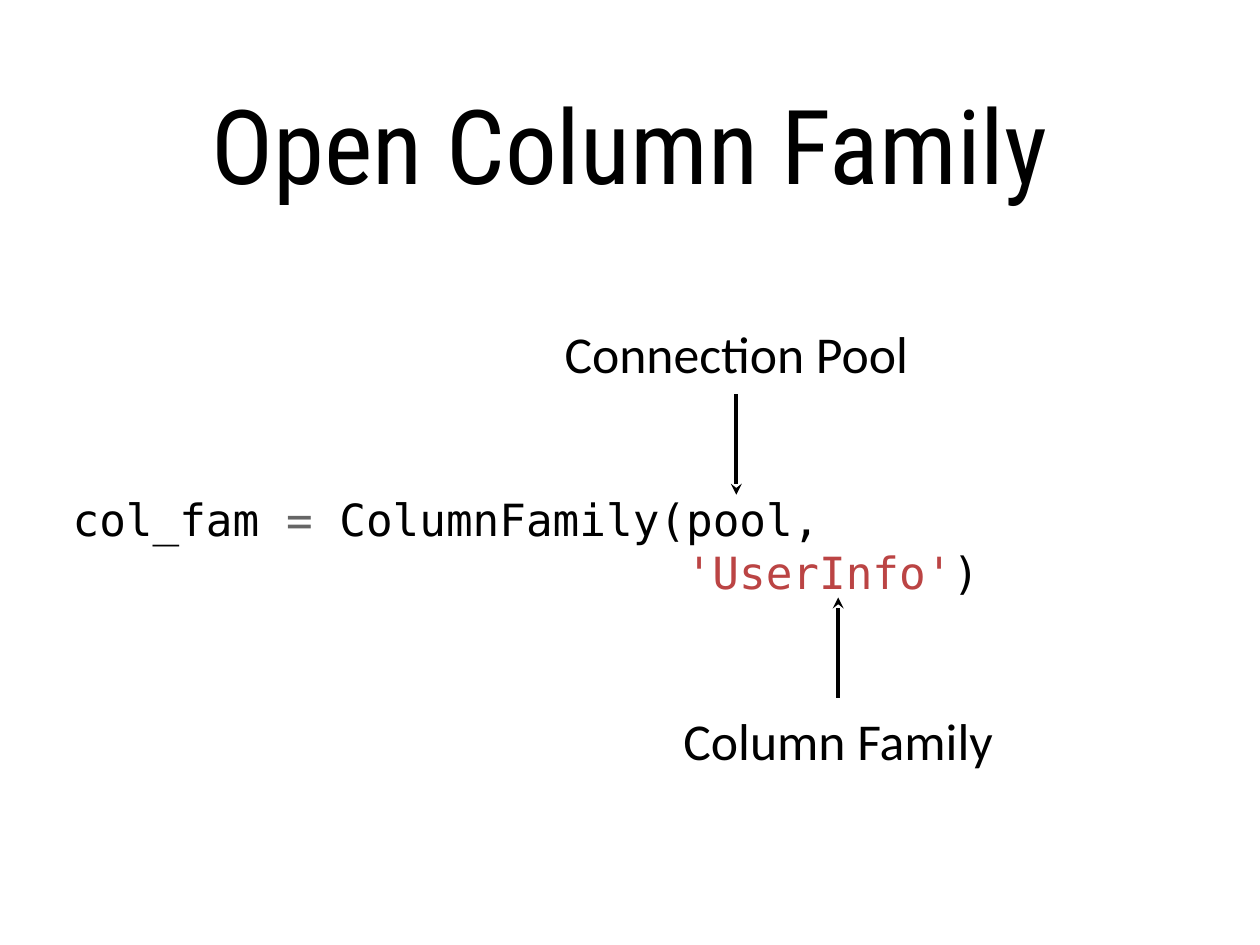
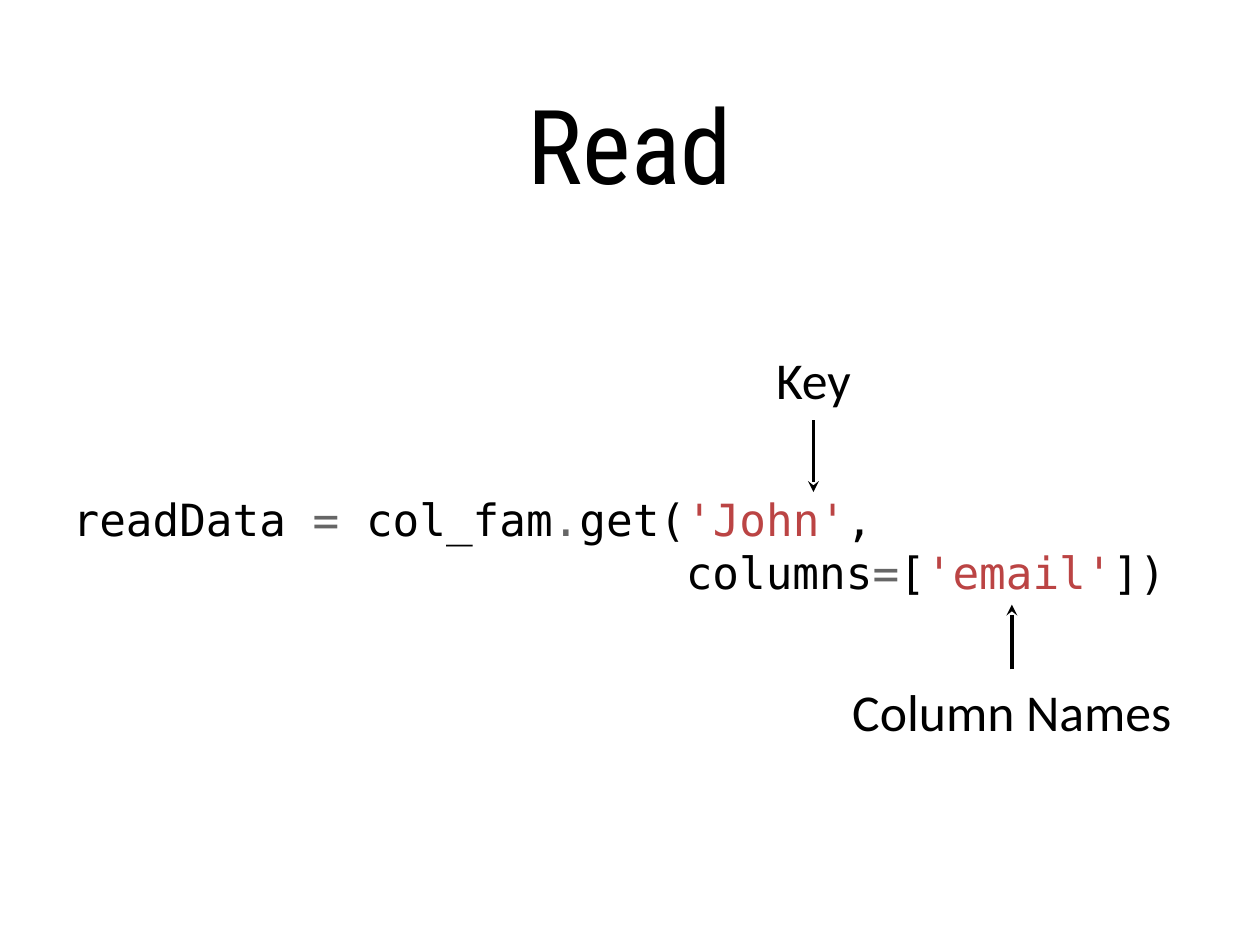
from lxml import etree
from pptx import Presentation
from pptx.dml.color import RGBColor
from pptx.enum.shapes import MSO_CONNECTOR
from pptx.enum.text import MSO_ANCHOR, MSO_AUTO_SIZE, PP_ALIGN
from pptx.oxml.ns import qn
from pptx.util import Inches, Pt

BLACK = RGBColor(0x00, 0x00, 0x00)
GRAY = RGBColor(0x66, 0x66, 0x66)
RED = RGBColor(0xBB, 0x44, 0x44)

TITLE_FONT = "Roboto Condensed"
CODE_FONT = "DejaVu Sans Mono"
LABEL_FONT = "Calibri"

LEFT, CENTER = PP_ALIGN.LEFT, PP_ALIGN.CENTER
MIDDLE = MSO_ANCHOR.MIDDLE
NO_AUTOFIT = MSO_AUTO_SIZE.NONE
STRAIGHT = MSO_CONNECTOR.STRAIGHT

TITLE_ONLY = 5
LABEL_HEIGHT = 0.7
LABEL_GAP = 0.12
CODE_INDENT = 6.92  # width of 23 monospaced characters at 36 pt


def set_text(sp, lines, *, size, font, align=LEFT, inset=0, wrap=True, indent=0):
    """Fill sp with lines of (text, colour) runs; later lines are indented."""
    tf = sp.text_frame
    tf.auto_size = NO_AUTOFIT
    tf.word_wrap = wrap
    tf.vertical_anchor = MIDDLE
    tf.margin_left = tf.margin_right = Inches(inset)
    tf.margin_top = tf.margin_bottom = Inches(inset)
    for i, line in enumerate(lines):
        p = tf.add_paragraph() if i else tf.paragraphs[0]
        p.alignment = align
        if i and indent:
            p._p.get_or_add_pPr().set("marL", str(Inches(indent)))
        for text, color in line:
            r = p.add_run()
            r.text = text
            r.font.size = Pt(size)
            r.font.name = font
            r.font.color.rgb = color


def add_titled_slide(prs, title):
    slide = prs.slides.add_slide(prs.slide_layouts[TITLE_ONLY])
    sp = slide.shapes.title
    sp.left, sp.top = Inches(1.39), Inches(0.28)
    sp.width, sp.height = Inches(11.44), Inches(2.67)
    set_text(sp, [[(title, BLACK)]], size=84, font=TITLE_FONT,
             align=CENTER, inset=0.06)
    return slide


def add_code(slide, lines):
    sp = slide.shapes.add_textbox(Inches(0.82), Inches(3.03),
                                  Inches(12.5), Inches(6.25))
    set_text(sp, lines, size=36, font=CODE_FONT, indent=CODE_INDENT)


def add_arrow(slide, x, tail, tip):
    line = slide.shapes.add_connector(STRAIGHT, Inches(x), Inches(tail),
                                      Inches(x), Inches(tip))
    line.line.color.rgb = BLACK
    line.line.width = Pt(3)
    etree.SubElement(line.line._get_or_add_ln(), qn("a:tailEnd"), type="stealth")
    etree.SubElement(line._element.spPr, qn("a:effectLst"))


def add_callout(slide, text, x, width, tail, tip):
    """Label centred on x beyond the tail of a vertical arrow to the code."""
    if tail < tip:
        top = tail - LABEL_GAP - LABEL_HEIGHT
    else:
        top = tail + LABEL_GAP
    sp = slide.shapes.add_textbox(Inches(x - width / 2), Inches(top),
                                  Inches(width), Inches(LABEL_HEIGHT))
    set_text(sp, [[(text, BLACK)]], size=42, font=LABEL_FONT,
             align=CENTER, wrap=False)
    add_arrow(slide, x, tail, tip)


def main():
    prs = Presentation()
    prs.slide_width, prs.slide_height = Inches(14.22), Inches(10.66)

    slide = add_titled_slide(prs, "Open Column Family")
    add_code(slide, [
        [("col_fam ", BLACK), ("=", GRAY), (" ColumnFamily(pool,", BLACK)],
        [("'UserInfo'", RED), (")", BLACK)],
    ])
    add_callout(slide, "Connection Pool", 8.31, 4.49, tail=4.45, tip=5.58)
    add_callout(slide, "Column Family", 9.46, 4.06, tail=7.87, tip=6.74)

    slide = add_titled_slide(prs, "Read")
    add_code(slide, [
        [("readData ", BLACK), ("=", GRAY), (" col_fam", BLACK), (".", GRAY),
         ("get(", BLACK), ("'John'", RED), (",", BLACK)],
        [("columns", BLACK), ("=", GRAY), ("[", BLACK), ("'email'", RED),
         ("])", BLACK)],
    ])
    add_callout(slide, "Key", 9.18, 0.99, tail=4.74, tip=5.55)
    add_callout(slide, "Column Names", 11.42, 4.22, tail=7.55, tip=6.82)

    prs.save("out.pptx")


if __name__ == "__main__":
    main()
